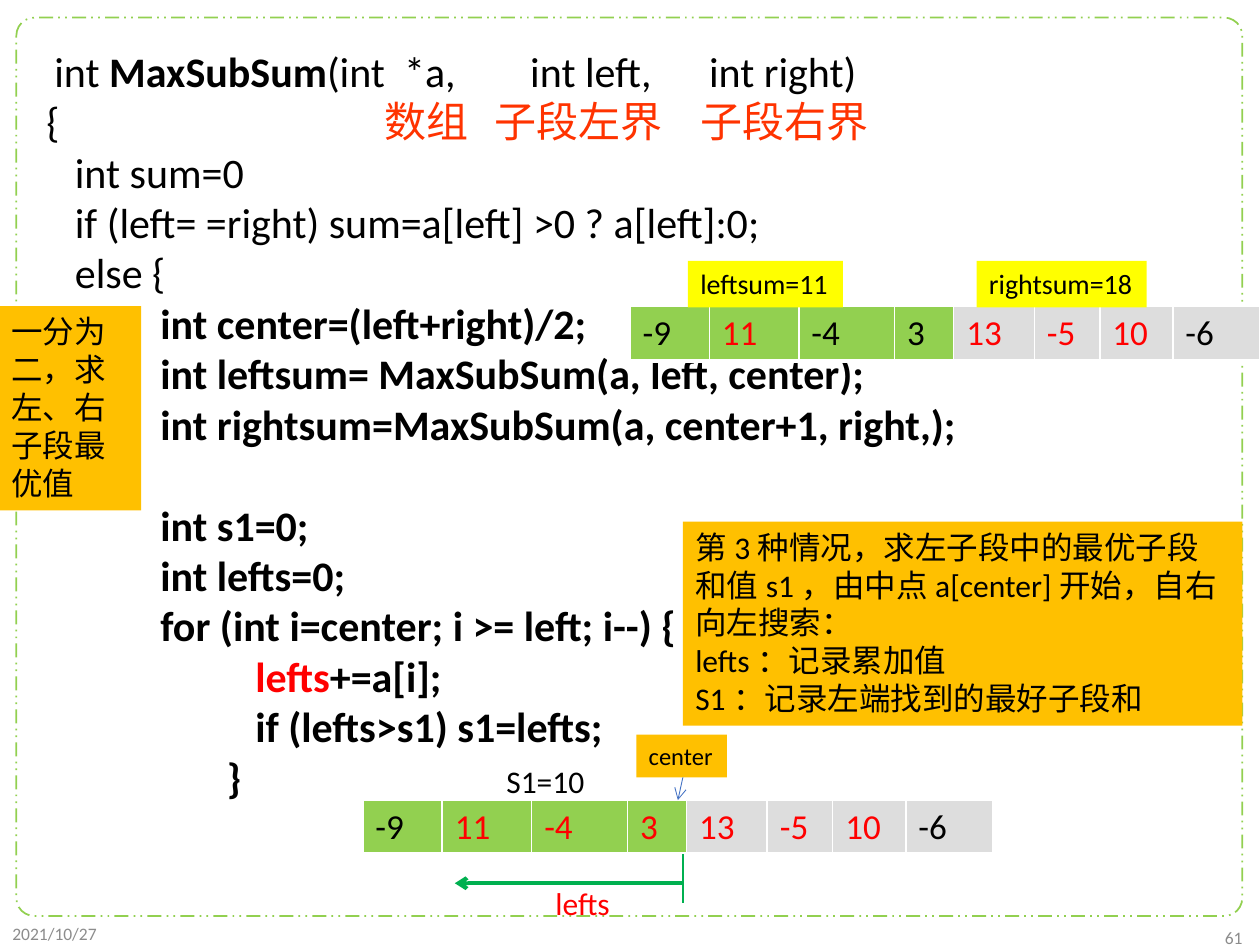
from dataclasses import dataclass
from typing import NamedTuple, Optional

from lxml.etree import SubElement
from pptx import Presentation
from pptx.dml.color import RGBColor
from pptx.enum.dml import MSO_LINE_DASH_STYLE as Dash
from pptx.enum.shapes import MSO_CONNECTOR as Connector, MSO_SHAPE as Preset
from pptx.enum.text import MSO_ANCHOR as Anchor, PP_ALIGN as Align
from pptx.oxml.ns import qn
from pptx.util import Inches, Pt

BLACK = RGBColor(0x00, 0x00, 0x00)
WHITE = RGBColor(0xFF, 0xFF, 0xFF)
GREY = RGBColor(0x8C, 0x8C, 0x8C)
SILVER = RGBColor(0xDD, 0xDD, 0xDD)
RED = RGBColor(0xFF, 0x00, 0x00)
ORANGE = RGBColor(0xFF, 0x33, 0x00)
AMBER = RGBColor(0xFF, 0xC0, 0x00)
YELLOW = RGBColor(0xFF, 0xFF, 0x00)
LIME = RGBColor(0x92, 0xD0, 0x50)
GREEN = RGBColor(0x00, 0xB0, 0x50)
BLUE = RGBColor(0x44, 0x72, 0xC4)

FONT = "Calibri"
WIDTH, HEIGHT = Inches(10), Inches(7.5)
COLUMN, ROW = WIDTH // 100, HEIGHT // 75
CODE_SIZE, LINE_HEIGHT = 24, 29


class Area(NamedTuple):
    left: float
    top: float
    width: float
    height: float

    def place(self) -> tuple:
        return (round(self.left * COLUMN), round(self.top * ROW),
                round(self.width * COLUMN), round(self.height * ROW))


class Span(NamedTuple):
    text: str
    color: RGBColor = BLACK
    bold: bool = False
    size: Optional[float] = None


class CodeLine(NamedTuple):
    spans: tuple
    tabs: tuple = ()
    space_before: float = 0


@dataclass(frozen=True)
class Label:
    area: Area
    lines: tuple
    size: float = 18
    color: RGBColor = BLACK
    fill: Optional[RGBColor] = None
    wrap: bool = False
    align: Align = Align.LEFT
    anchor: Anchor = Anchor.TOP


@dataclass(frozen=True)
class Line:
    start: tuple
    end: tuple
    color: RGBColor
    weight: float
    arrow: bool = False


@dataclass(frozen=True)
class ArrayStrip:
    left: float
    top: float
    red_cells: range


def bold_line(text: str, space_before: float = 0) -> CodeLine:
    return CodeLine((Span(text, bold=True),), space_before=space_before)


CODE_AREA = Area(2.7, 3.1, 95.3, 65.6)
CODE = (
    CodeLine((Span(" ", size=20), Span("int "), Span("MaxSubSum", bold=True),
              Span("(int\t*a,\tint left,\tint right)")), (28.4, 38.4, 52.6)),
    CodeLine((Span("{"), Span("\t数组\t子段左界\t子段右界", ORANGE)), (26.8, 35.6, 51.9)),
    CodeLine((Span("   int sum=0"),)),
    CodeLine((Span("   if (left= =right) sum=a[left] >0 ? a[left]:0;"),)),
    CodeLine((Span("   else {"),)),
    bold_line("            int center=(left+right)/2;"),
    bold_line("            int leftsum= MaxSubSum(a, left, center);"),
    bold_line("            int rightsum=MaxSubSum(a, center+1, right,);"),
    bold_line("            int s1=0;", LINE_HEIGHT),
    bold_line("            int lefts=0;"),
    bold_line("            for (int i=center; i >= left; i--) {"),
    CodeLine((Span("                      ", bold=True), Span("lefts", RED, True),
              Span("+=a[i];", bold=True))),
    bold_line("                      if (lefts>s1) s1=lefts;"),
    bold_line("                   }"),
)

VALUES = (-9, 11, -4, 3, 13, -5, 10, -6)
CELL_WIDTHS = (6.3, 7.1, 7.6, 4.7, 6.4, 5.2, 5.8, 6.9)
LEFT_HALF = len(VALUES) // 2
CENTER = 54.2

FOOTERS = (
    Label(Area(0, 72.6, 22.5, 2.9), ("2021/10/27",), 10, GREY, anchor=Anchor.MIDDLE),
    Label(Area(77.1, 73.1, 22.5, 2.6), ("61",), 10, GREY, align=Align.RIGHT,
          anchor=Anchor.MIDDLE),
)
THIRD_CASE = Label(
    Area(CENTER, 41.4, 44.4, 16.2),
    ("第3种情况，求左子段中的最优子段和值s1，由中点a[center]开始，自右向左搜索：",
     "lefts：记录累加值", "S1：记录左端找到的最好子段和"), fill=AMBER, wrap=True)
BEST_LEFT = Label(Area(39.2, 60, 8.5, 4), ("S1=10",))
RUNNING_SUM = Label(Area(43.1, 69.7, 6.6, 4), ("lefts",), color=RED)
CALLOUTS = (
    Label(Area(-0.1, 24.3, 11.3, 16.2), ("一分为二，求左、右子段最优值",), fill=AMBER, wrap=True),
    Label(Area(77.5, 20.7, 13.5, 3.7), ("rightsum=18",), 16, fill=YELLOW),
    Label(Area(54.6, 20.7, 12.3, 3.7), ("leftsum=11",), 16, fill=YELLOW),
    Label(Area(50.5, 58.3, 7.2, 3.4), ("center",), 14, fill=AMBER),
)
SCAN_STRIP = ArrayStrip(28.8, 63.5, range(1, 7))
SPLIT_STRIP = ArrayStrip(50, 24.3, range(0))
SCAN_LINES = (
    Line((CENTER, 70.1), (36.1, 70.1), GREEN, 2.25, True),
    Line((CENTER, 67.8), (CENTER, 71.7), GREEN, 1.5),
)
CENTER_POINTER = Line((CENTER, 61.7), (53.8, 63.5), BLUE, 0.5, True)


def add_span(paragraph, span: Span, size: float) -> None:
    run = paragraph.add_run()
    run.text = span.text
    run.font.name = FONT
    run.font.size = Pt(span.size or size)
    run.font.bold = span.bold
    run.font.color.rgb = span.color


def next_paragraph(frame, index: int):
    return frame.add_paragraph() if index else frame.paragraphs[0]


def add_frame(slide) -> None:
    shape = slide.shapes.add_shape(Preset.ROUNDED_RECTANGLE, *Area(1.3, 1.4, 97.3, 71.3).place())
    shape.adjustments[0] = 0.02
    shape.shadow.inherit = False
    shape.fill.background()
    shape.line.color.rgb = LIME
    shape.line.width = Pt(1)
    shape.line.dash_style = Dash.DASH_DOT_DOT


def add_code(slide) -> None:
    frame = slide.shapes.add_textbox(*CODE_AREA.place()).text_frame
    frame.word_wrap = True
    for index, line in enumerate(CODE):
        paragraph = next_paragraph(frame, index)
        if line.space_before:
            paragraph.space_before = Pt(line.space_before)
        if line.tabs:
            tab_list = SubElement(paragraph._p.get_or_add_pPr(), qn("a:tabLst"))
            for position in line.tabs:
                SubElement(tab_list, qn("a:tab"), pos=str(round(position * COLUMN)), algn="l")
        for span in line.spans:
            add_span(paragraph, span, CODE_SIZE)


def add_label(slide, label: Label) -> None:
    shape = slide.shapes.add_textbox(*label.area.place())
    if label.fill is not None:
        shape.fill.solid()
        shape.fill.fore_color.rgb = label.fill
    frame = shape.text_frame
    frame.word_wrap = label.wrap
    frame.vertical_anchor = label.anchor
    for index, text in enumerate(label.lines):
        paragraph = next_paragraph(frame, index)
        paragraph.alignment = label.align
        add_span(paragraph, Span(text, label.color), label.size)


def add_borders(cell) -> None:
    properties = cell._tc.get_or_add_tcPr()
    for side, weight in (("L", 1), ("R", 1), ("T", 1), ("B", 3)):
        border = SubElement(properties, qn(f"a:ln{side}"), w=str(Pt(weight)))
        SubElement(SubElement(border, qn("a:solidFill")), qn("a:srgbClr"), val=str(WHITE))


def add_strip(slide, strip: ArrayStrip) -> None:
    area = Area(strip.left, strip.top, sum(CELL_WIDTHS), 4.3)
    table = slide.shapes.add_table(1, len(VALUES), *area.place()).table
    red_cells = strip.red_cells or (1, 4, 5, 6)
    for index, (value, width) in enumerate(zip(VALUES, CELL_WIDTHS)):
        table.columns[index].width = round(width * COLUMN)
        cell = table.cell(0, index)
        add_borders(cell)
        cell.fill.solid()
        cell.fill.fore_color.rgb = LIME if index < LEFT_HALF else SILVER
        color = RED if index in red_cells else BLACK
        add_span(cell.text_frame.paragraphs[0], Span(str(value), color), 20)


def add_line(slide, line: Line) -> None:
    (x1, y1), (x2, y2) = line.start, line.end
    ends = (round(x1 * COLUMN), round(y1 * ROW), round(x2 * COLUMN), round(y2 * ROW))
    connector = slide.shapes.add_connector(Connector.STRAIGHT, *ends)
    connector.line.color.rgb = line.color
    connector.line.width = Pt(line.weight)
    if line.arrow:
        SubElement(connector.line._get_or_add_ln(), qn("a:tailEnd"), type="arrow")
    SubElement(connector._element.spPr, qn("a:effectLst"))


def main() -> None:
    presentation = Presentation()
    presentation.slide_width, presentation.slide_height = WIDTH, HEIGHT
    slide = presentation.slides.add_slide(presentation.slide_layouts[6])
    add_frame(slide)
    for footer in FOOTERS:
        add_label(slide, footer)
    add_code(slide)
    add_label(slide, THIRD_CASE)
    add_strip(slide, SCAN_STRIP)
    add_label(slide, BEST_LEFT)
    for line in SCAN_LINES:
        add_line(slide, line)
    add_label(slide, RUNNING_SUM)
    add_strip(slide, SPLIT_STRIP)
    for callout in CALLOUTS:
        add_label(slide, callout)
    add_line(slide, CENTER_POINTER)
    presentation.save("out.pptx")


if __name__ == "__main__":
    main()
